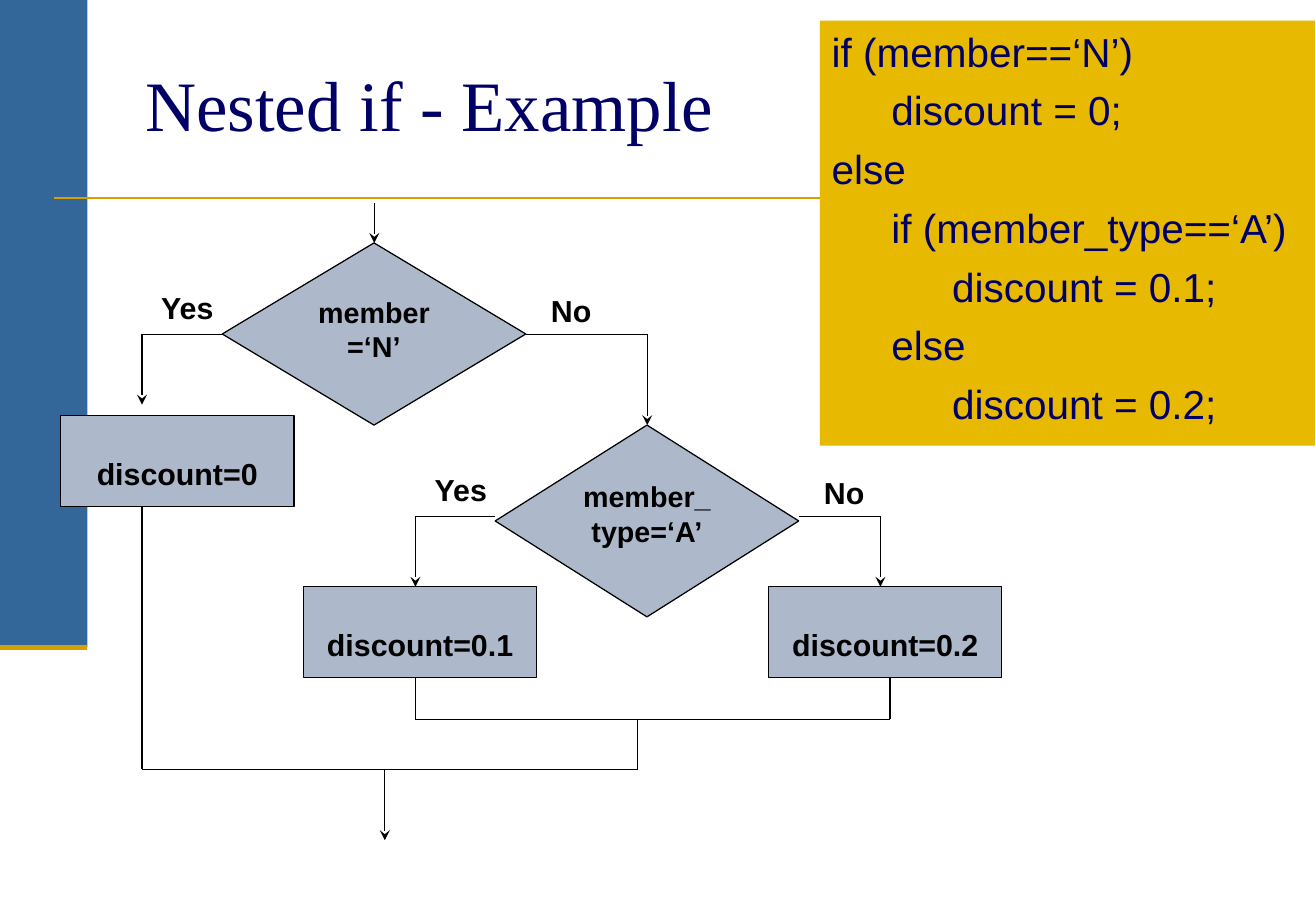
import pptx
import pptx.util
import pptx.dml.color
import pptx.enum.shapes
import pptx.enum.text
import pptx.oxml
import pptx.oxml.ns
import lxml.etree

Cm = pptx.util.Cm
Pt = pptx.util.Pt
RGBColor = pptx.dml.color.RGBColor
FORM = pptx.enum.shapes.MSO_SHAPE
ALIGN = pptx.enum.text.PP_ALIGN
SIDE = pptx.enum.text.MSO_ANCHOR

BLUE = RGBColor(0x33, 0x66, 0x99)
GOLD = RGBColor(0xD8, 0x9F, 0x00)
AMBER = RGBColor(0xE7, 0xB9, 0x00)
STEEL = RGBColor(0xAD, 0xB8, 0xCA)
NAVY = RGBColor(0x00, 0x00, 0x66)
BLACK = RGBColor(0x00, 0x00, 0x00)

BOLD = {"name": "Arial", "size": Pt(18), "bold": True}
SMALL = {**BOLD, "size": Pt(17)}
PLAIN = {"name": "Arial", "size": Pt(24), "bold": False}
TITLE = {"name": "Times New Roman", "size": Pt(42), "bold": False}
INSET = {"margin_left": Cm(0.25), "margin_right": Cm(0.25),
         "margin_top": Cm(0.13), "margin_bottom": Cm(0.13),
         "vertical_anchor": SIDE.TOP, "word_wrap": True}
LOW = {**INSET, "margin_bottom": Cm(0.32), "vertical_anchor": SIDE.BOTTOM}

CODE = [
    "if (member==‘N’)",
    "\tdiscount = 0;",
    "else",
    "\tif (member_type==‘A’)",
    "\t\tdiscount = 0.1;",
    "\telse",
    "\t\tdiscount = 0.2;",
]


def apply(item, form):
    for key, value in form.items():
        setattr(item, key, value)


def add_tag(parent, tag, **attrs):
    node = lxml.etree.SubElement(parent, pptx.oxml.ns.qn(tag))
    for key, value in attrs.items():
        node.set(key, str(value))
    return node


def add_line(slide, start, end, color=BLACK, width=0.75, arrow=False):
    ends = [Cm(value) for value in (*start, *end)]
    line = slide.shapes.add_connector(
        pptx.enum.shapes.MSO_CONNECTOR.STRAIGHT, *ends)
    line.line.color.rgb = color
    line.line.width = Pt(width)
    if arrow:
        add_tag(line.line._get_or_add_ln(), "a:tailEnd", type="stealth")
    add_tag(line._element.spPr, "a:effectLst")


def add_route(slide, points, arrow=False):
    last = len(points) - 2
    for i, (start, end) in enumerate(zip(points, points[1:])):
        add_line(slide, start, end, arrow=arrow and i == last)


def add_block(slide, kind, box, fill, edge=None):
    block = slide.shapes.add_shape(kind, *[Cm(value) for value in box])
    block.shadow.inherit = False
    block.fill.solid()
    block.fill.fore_color.rgb = fill
    if edge is None:
        block.line.fill.background()
    else:
        block.line.color.rgb = edge
        block.line.width = Pt(0.75)
    return block


def add_label(slide, box):
    return slide.shapes.add_textbox(*[Cm(value) for value in box])


def put_text(shape, text, font, color=BLACK, align=ALIGN.CENTER, frame=INSET):
    apply(shape.text_frame, frame)
    para = shape.text_frame.paragraphs[0]
    para.text = text
    para.alignment = align
    apply(para.runs[0].font, font)
    para.runs[0].font.color.rgb = color


def draw_trim(slide, box):
    x, y, w, h = box
    add_block(slide, FORM.RECTANGLE, (x, y, 1.83, 13.54), BLUE)
    add_line(slide, (x + 1.14, y + 4.14), (x + w - 1.4, y + 4.14), GOLD, 1.5)
    add_line(slide, (x, y + 13.54), (x + 1.83, y + 13.54), GOLD, 3.5)


def draw_test(slide, box, text, yes, no):
    x, y, w, h = box
    block = add_block(slide, FORM.FLOWCHART_DECISION, box, STEEL, BLACK)
    put_text(block, text, SMALL)
    arm = y + 1.91
    for name, side, goal, drop in (("Yes", x, yes, 0.84),
                                   ("No", x + w, no, 0.89)):
        turn = (goal[0], arm)
        add_route(slide, [(side, arm), turn, goal], arrow=True)
        left = goal[0] if name == "Yes" else side
        put_text(add_label(slide, (left, y + drop, 1.9, 1.02)), name, BOLD)


def draw_flow(slide, box):
    x, y, w, h = box

    def at(*points):
        return [(x + a, y + b) for a, b in points]

    add_route(slide, at((6.56, 0), (6.56, 0.84)), arrow=True)
    draw_test(slide, (x + 3.38, y + 0.84, 6.35, 3.81), "member=‘N’",
              *at((1.7, 4.22), (12.27, 4.65)))
    draw_test(slide, (x + 9.09, y + 4.65, 6.35, 4.01), "member_type=‘A’",
              *at((7.42, 8.03), (17.15, 8.03)))
    for left, top, text in ((0, 4.45, "discount=0"),
                            (5.08, 8.03, "discount=0.1"),
                            (14.81, 8.03, "discount=0.2")):
        step = add_block(slide, FORM.RECTANGLE,
                         (x + left, y + top, 4.88, 1.9), STEEL, BLACK)
        put_text(step, text, BOLD, frame=LOW)
    add_route(slide, at((7.42, 9.93), (7.42, 10.8),
                        (17.35, 10.8), (17.35, 9.93)))
    add_route(slide, at((1.7, 6.35), (1.7, 11.85),
                        (12.07, 11.85), (12.07, 10.8)))
    add_route(slide, at((6.78, 11.85), (6.78, h)), arrow=True)


def draw_code(slide, box):
    block = add_block(slide, FORM.RECTANGLE, box, AMBER)
    frame = block.text_frame
    apply(frame, INSET)
    for i, text in enumerate(CODE):
        para = frame.add_paragraph() if i else frame.paragraphs[0]
        props = para._p.get_or_add_pPr()
        props.set("marL", str(Cm(1.25)))
        props.set("indent", str(Cm(-1.25)))
        tabs = add_tag(props, "a:tabLst")
        for stop in range(8):
            add_tag(tabs, "a:tab", pos=Cm(2.54 * stop), algn="l")
        para.text = text
        para.alignment = ALIGN.JUSTIFY
        if i:
            para.space_before = Pt(6)
        apply(para.runs[0].font, PLAIN)
        para.runs[0].font.color.rgb = NAVY


def draw_title(slide, box):
    put_text(add_label(slide, box), "Nested if - Example", TITLE, NAVY,
             ALIGN.LEFT)


def main():
    deck = pptx.Presentation()
    apply(deck, {"slide_width": Cm(27.53), "slide_height": Cm(19.05)})
    slide = deck.slides.add_slide(deck.slide_layouts[6])
    draw_trim(slide, (0, 0, 27.53, 19.05))
    draw_flow(slide, (1.27, 4.24, 19.69, 13.33))
    draw_code(slide, (17.15, 0.43, 10.36, 8.89))
    draw_title(slide, (2.79, 1.14, 23.39, 3.05))
    deck.save("out.pptx")


if __name__ == "__main__":
    main()
